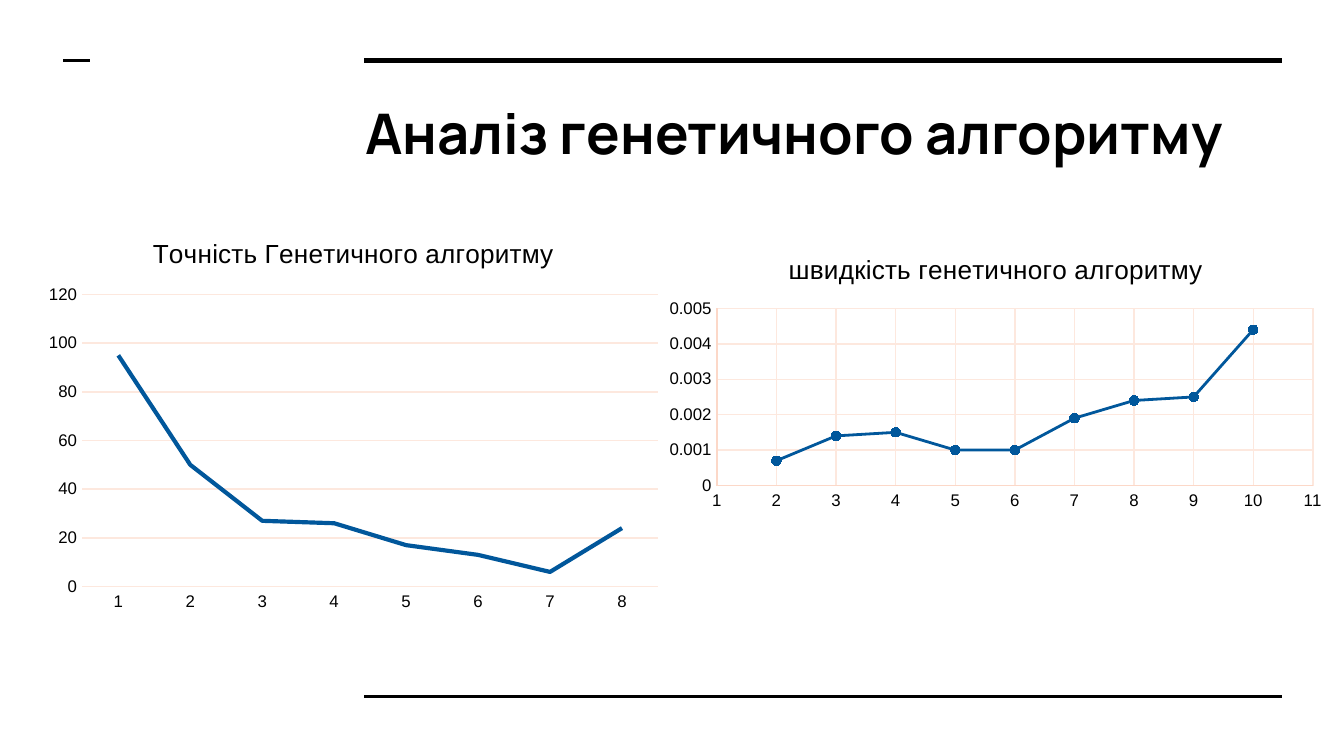
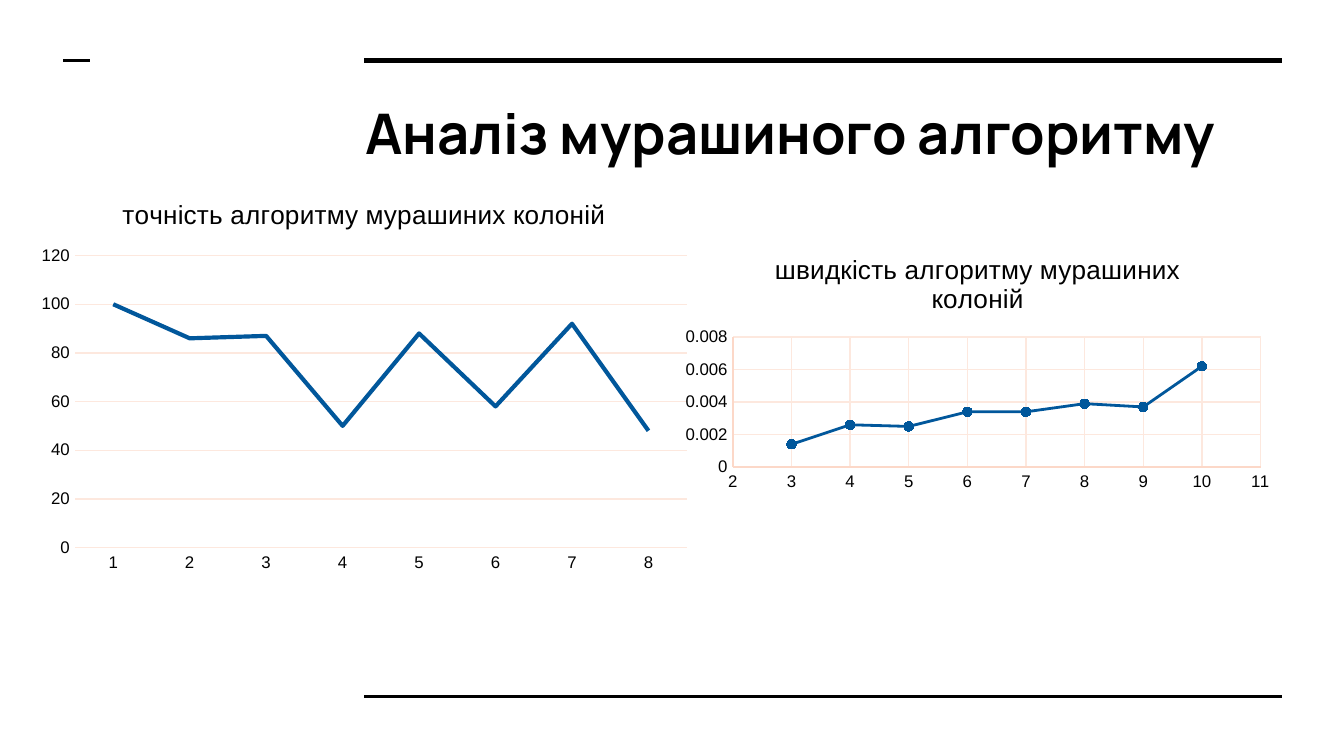
from dataclasses import dataclass
from typing import Any, NamedTuple, Optional

from lxml.etree import SubElement
from pptx import Presentation
from pptx.chart.chart import Chart
from pptx.chart.data import CategoryChartData, XyChartData
from pptx.dml.color import RGBColor
from pptx.dml.line import LineFormat
from pptx.enum.chart import XL_CHART_TYPE as ChartType
from pptx.enum.chart import XL_MARKER_STYLE as MarkerStyle
from pptx.enum.chart import XL_TICK_MARK as TickMark
from pptx.enum.shapes import MSO_CONNECTOR as ConnectorType
from pptx.enum.text import MSO_ANCHOR as Anchor
from pptx.oxml.ns import qn
from pptx.slide import Slide
from pptx.util import Inches, Pt

SLIDE_WIDTH = Inches(10)
SLIDE_SIZE = {"slide_width": SLIDE_WIDTH, "slide_height": SLIDE_WIDTH * 9 // 16}

BLACK = RGBColor(0x00, 0x00, 0x00)
WHITE = RGBColor(0xFF, 0xFF, 0xFF)
BLUE = RGBColor(0x01, 0x57, 0x9B)
GRID_PINK = RGBColor(0xFD, 0xE8, 0xDE)
AXIS_PINK = RGBColor(0xFC, 0xD8, 0xC8)

TITLE_FONT = {"name": "Manrope", "size": Pt(30), "bold": True}
CHART_FONT = {"name": "Arial", "size": Pt(10), "bold": False}
CHART_TITLE_FONT = {**CHART_FONT, "size": Pt(14)}
AXIS_FONT = {**CHART_FONT, "size": Pt(9)}
TITLE_FRAME = {"word_wrap": True, "vertical_anchor": Anchor.TOP} | {
    f"margin_{side}": Inches(0.1) for side in ("left", "top", "right", "bottom")
}


class Box(NamedTuple):
    left: float
    top: float
    width: float
    height: float

    def lengths(self) -> list[int]:
        return [Inches(value) for value in self]


class Rule(NamedTuple):
    left: float
    right: float
    top: float
    weight: float


class Scale(NamedTuple):
    minimum: float
    maximum: float
    step: float

    def format(self) -> dict[str, float]:
        return {"minimum_scale": self.minimum, "maximum_scale": self.maximum,
                "major_unit": self.step}


@dataclass(frozen=True)
class AccuracyChart:
    title: str
    box: Box
    values: tuple[float, ...]


@dataclass(frozen=True)
class SpeedChart:
    title: str
    box: Box
    first_x: int
    values: tuple[float, ...]
    scale: Scale


@dataclass(frozen=True)
class AnalysisSlide:
    title: str
    accuracy: AccuracyChart
    speed: SpeedChart


TITLE_BOX = Box(2.62, 0.63, 6.91, 0.69)
RULES = (
    Rule(2.71, 9.54, 0.45, 3),
    Rule(2.71, 9.54, 5.18, 1.5),
    Rule(0.47, 0.67, 0.45, 1.5),
)
ACCURACY_SCALE = Scale(0, 120, 20)

ANALYSES = (
    AnalysisSlide(
        "Аналіз генетичного алгоритму",
        AccuracyChart("Точність Генетичного алгоритму", Box(0.27, 1.61, 4.72, 3),
                      (95, 50, 27, 26, 17, 13, 6, 24)),
        SpeedChart("швидкість генетичного алгоритму", Box(4.88, 1.75, 5.06, 2.09), 2,
                   (0.0007, 0.0014, 0.0015, 0.001, 0.001, 0.0019, 0.0024, 0.0025, 0.0044),
                   Scale(0, 0.005, 0.001)),
    ),
    AnalysisSlide(
        "Аналіз мурашиного алгоритму",
        AccuracyChart("точність алгоритму мурашиних колоній", Box(0.21, 1.32, 5, 3),
                      (100, 86, 87, 50, 88, 58, 92, 48)),
        SpeedChart("швидкість алгоритму мурашиних колоній", Box(5.01, 1.75, 4.53, 1.95), 3,
                   (0.0014, 0.0026, 0.0025, 0.0034, 0.0034, 0.0039, 0.0037, 0.0062),
                   Scale(0, 0.008, 0.002)),
    ),
)


def apply_format(target: Any, values: dict[str, Any]) -> None:
    for name, value in values.items():
        setattr(target, name, value)


def format_font(font: Any, values: dict[str, Any]) -> None:
    apply_format(font, values)
    font.color.rgb = BLACK


def format_line(line: LineFormat, colour: Optional[RGBColor], weight: float = 0.75) -> None:
    if colour is None:
        line.fill.background()
        return
    line.color.rgb = colour
    line.width = Pt(weight)


def add_rule(slide: Slide, rule: Rule) -> None:
    top = Inches(rule.top)
    connector = slide.shapes.add_connector(
        ConnectorType.STRAIGHT, Inches(rule.left), top, Inches(rule.right), top)
    format_line(connector.line, BLACK, rule.weight)
    SubElement(connector._element.spPr, qn("a:effectLst"))


def add_title(slide: Slide, text: str) -> None:
    frame = slide.shapes.add_textbox(*TITLE_BOX.lengths()).text_frame
    apply_format(frame, TITLE_FRAME)
    run = frame.paragraphs[0].add_run()
    run.text = text
    format_font(run.font, TITLE_FONT)


def format_axis(axis: Any, line: Optional[RGBColor], grid: bool) -> None:
    apply_format(axis, {"major_tick_mark": TickMark.NONE, "minor_tick_mark": TickMark.NONE,
                        "has_major_gridlines": grid, "has_title": False})
    format_font(axis.tick_labels.font, AXIS_FONT)
    format_line(axis.format.line, line)
    if grid:
        format_line(axis.major_gridlines.format.line, GRID_PINK)


def add_chart(slide: Slide, kind: ChartType, box: Box, title: str, data: Any,
              scale: Scale, weight: float) -> Chart:
    chart = slide.shapes.add_chart(kind, *box.lengths(), data).chart
    apply_format(chart, {"has_legend": False, "has_title": True})
    format_font(chart.font, CHART_FONT)
    run = chart.chart_title.text_frame.paragraphs[0].add_run()
    run.text = title
    format_font(run.font, CHART_TITLE_FONT)
    chart.plots[0].vary_by_categories = False
    series = chart.plots[0].series[0]
    series.smooth = False
    format_line(series.format.line, BLUE, weight)
    apply_format(chart.value_axis, scale.format())
    return chart


def add_accuracy_chart(slide: Slide, accuracy: AccuracyChart) -> None:
    data = CategoryChartData()
    data.categories = [str(number) for number in range(1, len(accuracy.values) + 1)]
    data.add_series("Series 1", accuracy.values)
    chart = add_chart(slide, ChartType.LINE, accuracy.box, accuracy.title, data,
                      ACCURACY_SCALE, 2.25)
    chart.plots[0].series[0].marker.style = MarkerStyle.NONE
    format_axis(chart.category_axis, GRID_PINK, grid=False)
    format_axis(chart.value_axis, None, grid=True)


def add_speed_chart(slide: Slide, speed: SpeedChart) -> None:
    data = XyChartData()
    series_data = data.add_series("Series 1")
    for x, value in enumerate(speed.values, speed.first_x):
        series_data.add_data_point(x, value)
    chart = add_chart(slide, ChartType.XY_SCATTER_LINES, speed.box, speed.title, data,
                      speed.scale, 1.5)
    marker = chart.plots[0].series[0].marker
    apply_format(marker, {"style": MarkerStyle.CIRCLE, "size": 5})
    marker.format.fill.solid()
    marker.format.fill.fore_color.rgb = BLUE
    format_line(marker.format.line, BLUE)
    x_scale = Scale(speed.first_x - 1, speed.first_x + len(speed.values), 1)
    apply_format(chart.category_axis, x_scale.format())
    for axis in (chart.category_axis, chart.value_axis):
        format_axis(axis, AXIS_PINK, grid=True)


def add_analysis_slide(presentation: Any, analysis: AnalysisSlide) -> None:
    slide = presentation.slides.add_slide(presentation.slide_layouts[6])
    slide.background.fill.solid()
    slide.background.fill.fore_color.rgb = WHITE
    for rule in RULES:
        add_rule(slide, rule)
    add_title(slide, analysis.title)
    add_accuracy_chart(slide, analysis.accuracy)
    add_speed_chart(slide, analysis.speed)


def main() -> None:
    presentation = Presentation()
    apply_format(presentation, SLIDE_SIZE)
    for analysis in ANALYSES:
        add_analysis_slide(presentation, analysis)
    presentation.save("out.pptx")


if __name__ == "__main__":
    main()
